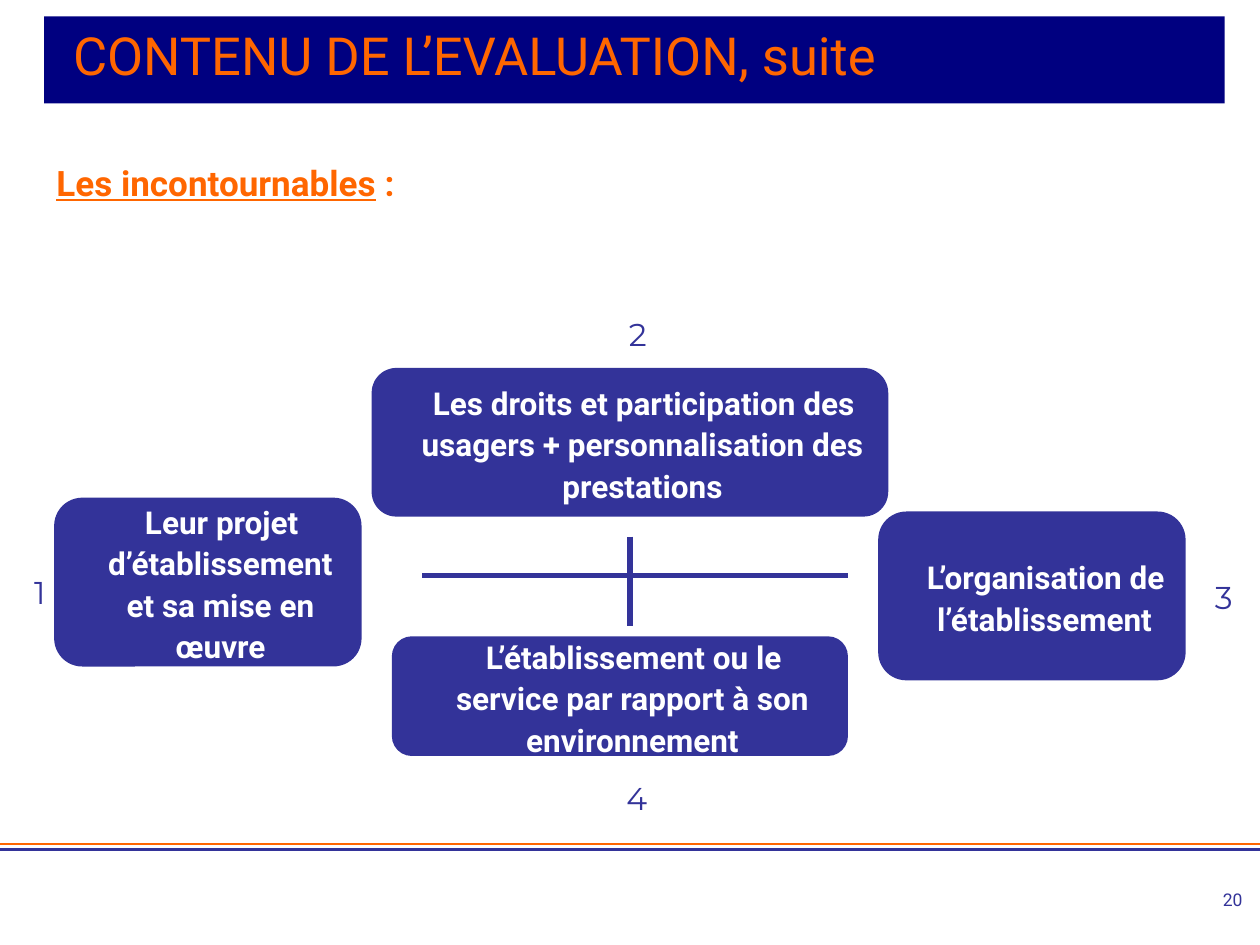
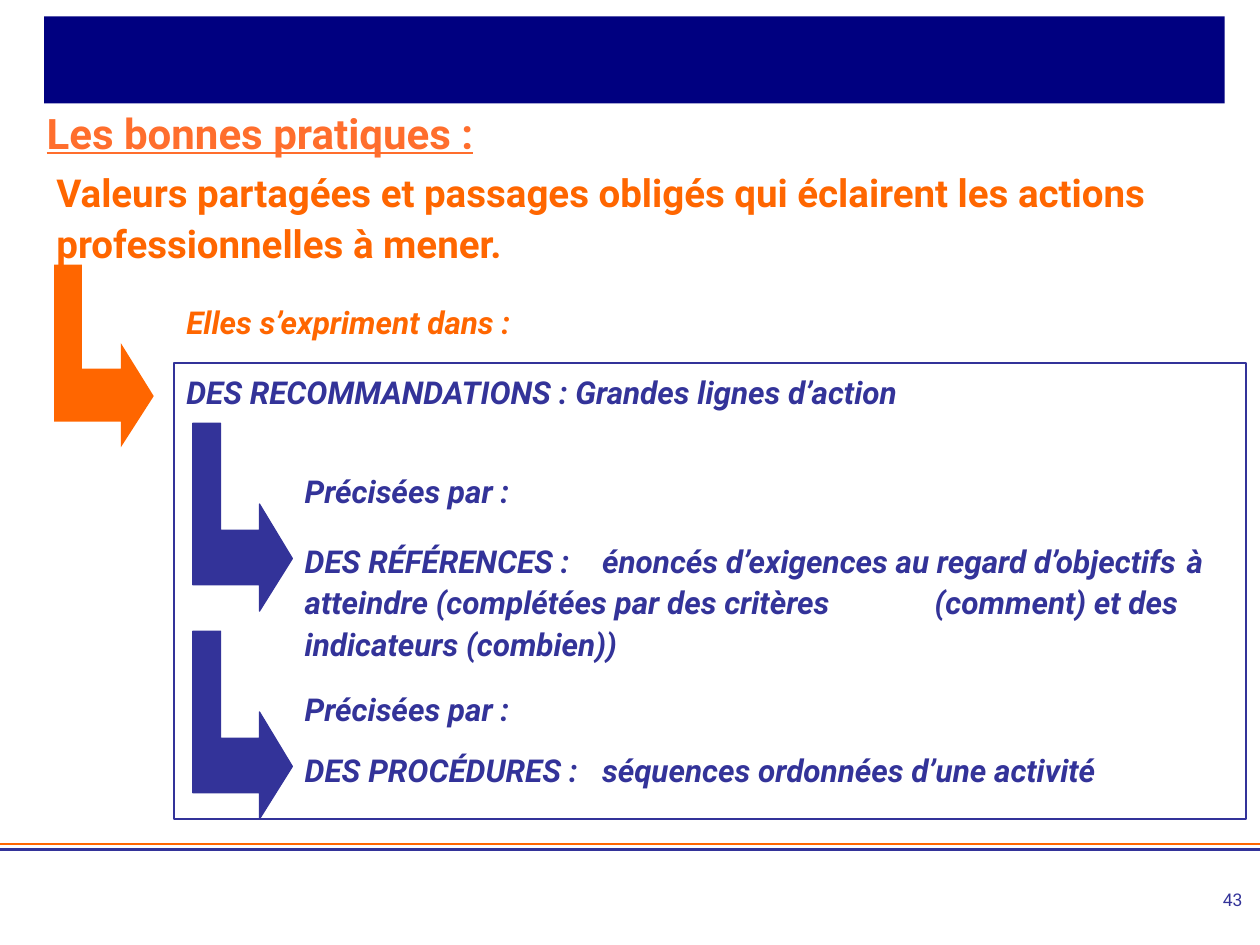
from lxml import etree
from pptx import Presentation
from pptx.dml.color import RGBColor
from pptx.enum.shapes import MSO_CONNECTOR, MSO_SHAPE
from pptx.enum.text import MSO_ANCHOR, MSO_AUTO_SIZE, PP_ALIGN
from pptx.oxml.ns import qn
from pptx.util import Inches, Pt

NAVY = RGBColor(0x00, 0x00, 0x80)
INDIGO = RGBColor(0x33, 0x33, 0x99)
ORANGE = RGBColor(0xFF, 0x66, 0x00)
CORAL = RGBColor(0xFF, 0x6E, 0x2D)
WHITE = RGBColor(0xFF, 0xFF, 0xFF)
TEXT_FONT = "Roboto"
NUMBER_FONT = "Montserrat"
TITLE_ONLY = 5


# Shared helpers
def place(shape, box):
    shape.left, shape.top, shape.width, shape.height = map(Inches, box)


def write(frame, text, size=18, color=INDIGO, font=TEXT_FONT, bold=False,
          italic=False, underline=False, tail="", align=PP_ALIGN.LEFT,
          anchor=MSO_ANCHOR.TOP, wrap=True, spacing=None, indent=None, tabs=()):
    """Write one paragraph; tail follows the text without underline."""
    frame.word_wrap = wrap
    frame.auto_size = MSO_AUTO_SIZE.NONE
    frame.vertical_anchor = anchor
    para = frame.paragraphs[0]
    properties = para._p.get_or_add_pPr()
    if indent:
        margin, first_line = indent
        properties.set("marL", str(Inches(margin)))
        properties.set("indent", str(Inches(first_line)))
    if tabs:
        stops = etree.SubElement(properties, qn("a:tabLst"))
        for stop in tabs:
            etree.SubElement(stops, qn("a:tab"), pos=str(Inches(stop)), algn="l")
    para.alignment = align
    if spacing:
        para.line_spacing = spacing
    for words, underlined in ((text, underline), (tail, False)):
        if not words:
            continue
        span = para.add_run()
        span.text = words
        span.font.name, span.font.size = font, Pt(size)
        span.font.bold, span.font.italic = bold, italic
        span.font.underline = underlined
        span.font.color.rgb = color


def add_text(page, box, text, **style):
    label = page.shapes.add_textbox(*map(Inches, box))
    write(label.text_frame, text, **style)


def add_title(page, box, text, **style):
    place(page.shapes.title, box)
    write(page.shapes.title.text_frame, text, **style)


def paint(shape, fill=None, line=None, width=1.0):
    shape.shadow.inherit = False
    if fill is None:
        shape.fill.background()
    else:
        shape.fill.solid()
        shape.fill.fore_color.rgb = fill
    if line is None:
        shape.line.fill.background()
    else:
        shape.line.color.rgb = line
        shape.line.width = Pt(width)


def add_block(page, kind, box, **colors):
    block = page.shapes.add_shape(kind, *map(Inches, box))
    paint(block, **colors)
    return block


def add_line(page, start, end, color, width):
    line = page.shapes.add_connector(
        MSO_CONNECTOR.STRAIGHT, *map(Inches, (*start, *end)))
    line.line.color.rgb = color
    line.line.width = Pt(width)
    etree.SubElement(line._element.spPr, qn("a:effectLst"))
    return line


def decorate_layout(layout, page):
    """Put the title band and the footer rules on the shared layout."""
    parts = [
        add_block(page, MSO_SHAPE.RECTANGLE, (0.35, 0.13, 9.37, 0.69), fill=NAVY),
        add_line(page, (0, 6.7), (10, 6.7), ORANGE, 1),
        add_line(page, (0, 6.74), (10, 6.74), INDIGO, 1.5),
    ]
    for part in parts:
        layout.shapes._spTree.append(part._element)


def add_page_number(page, number):
    add_text(page, (7.63, 7.01, 2.33, 0.52), number, size=10, align=PP_ALIGN.RIGHT)


# Slide: the four essentials
def add_theme(page, box, text, number, number_at):
    card = add_block(page, MSO_SHAPE.ROUNDED_RECTANGLE, box, fill=INDIGO)
    write(card.text_frame, text, color=WHITE, bold=True, align=PP_ALIGN.CENTER,
          anchor=MSO_ANCHOR.MIDDLE, spacing=1.1, indent=(0.2, 0.02))
    add_text(page, (*number_at, 0.17, 0.28), number, font=NUMBER_FONT, wrap=False)


def add_cross(page, box):
    left, top, width, height = box
    center, middle = 5, top + 0.31
    add_line(page, (center, top), (center, top + height), INDIGO, 3)
    add_line(page, (left, middle), (left + width, middle), INDIGO, 3)


def build_essentials(page):
    add_title(page, (0.48, 0.13, 6.95, 0.6), "CONTENU DE L’EVALUATION, suite",
              size=30, color=ORANGE, wrap=False)
    add_text(page, (0.35, 1.23, 3.16, 0.44), "Les incontournables", tail=" :",
             size=20, color=ORANGE, bold=True, underline=True, wrap=False)
    themes = [
        ((0.43, 3.95, 2.44, 1.34), "Leur projet d’établissement et sa mise en œuvre",
         (0.2, 4.5)),
        ((2.95, 2.92, 4.1, 1.18),
         "Les droits et participation des usagers + personnalisation des prestations",
         (4.92, 2.45)),
        ((6.97, 4.06, 2.44, 1.34), "L’organisation de l’établissement", (9.57, 4.54)),
        ((3.11, 5.05, 3.62, 0.95),
         "L’établissement ou le service par rapport à son environnement",
         (4.9, 6.13)),
    ]
    for number, (box, text, number_at) in enumerate(themes, 1):
        add_theme(page, box, text, str(number), number_at)
    add_cross(page, (3.35, 4.26, 3.38, 0.71))
    add_page_number(page, "20")


# Slide: good practices
def add_elbow_arrow(page, box, **colors):
    """Arrow that goes down, then turns right."""
    left, top, width, height = box
    outline = [(0, 0), (0.28, 0), (0.28, 0.57), (0.67, 0.57), (0.67, 0.43),
               (1, 0.72), (0.67, 1), (0.67, 0.86), (0, 0.86)]
    points = [(Inches(left + x * width), Inches(top + y * height))
              for x, y in outline]
    builder = page.shapes.build_freeform(*points[0])
    builder.add_line_segments(points[1:], close=True)
    paint(builder.convert_to_shape(), **colors)


def add_recommendations(page, box):
    left, top, width, height = box
    style = dict(bold=True, italic=True, spacing=1.1)
    inner = left + 0.94
    for arrow_top in (0.48, 2.13):
        add_elbow_arrow(page, (left + 0.15, top + arrow_top, 0.79, 1.49),
                        fill=INDIGO, line=INDIGO, width=0.75)
    add_text(page, (left, top, 8.62, 0.47),
             "DES RECOMMANDATIONS : Grandes lignes d’action", **style)
    details = [
        (0.79, 6.77, "Précisées par :"),
        (1.34, 7.68, "DES RÉFÉRENCES :\ténoncés d’exigences au regard d’objectifs "
         "\tà atteindre (complétées par des critères \t(comment) et des "
         "indicateurs (combien))"),
        (2.52, 6.77, "Précisées par :"),
        (3.0, 7.32, "DES PROCÉDURES :\tséquences ordonnées d’une activité"),
    ]
    for offset, text_width, text in details:
        add_text(page, (inner, top + offset, text_width, 0.47), text,
                 tabs=(0, 2.36, *range(3, 9)), **style)
    add_block(page, MSO_SHAPE.RECTANGLE, box, line=INDIGO, width=1.5)


def build_practices(page):
    add_title(page, (0.27, 0.76, 8.86, 0.63), "Les bonnes pratiques :", size=24,
              color=CORAL, bold=True, underline=True, spacing=1.1)
    add_elbow_arrow(page, (0.43, 2.1, 0.79, 1.45), fill=ORANGE)
    add_text(page, (0.35, 1.26, 9.06, 0.44),
             "Valeurs partagées et passages obligés qui éclairent les actions "
             "professionnelles à mener.",
             size=22, color=ORANGE, bold=True, spacing=1.1)
    add_text(page, (1.38, 2.33, 7.95, 0.47), "Elles s’expriment dans :",
             color=ORANGE, bold=True, italic=True, spacing=1.1)
    add_recommendations(page, (1.38, 2.88, 8.51, 3.62))
    add_page_number(page, "43")


def main():
    deck = Presentation()
    deck.slide_width, deck.slide_height = Inches(10), Inches(7.5)
    layout = deck.slide_layouts[TITLE_ONLY]
    essentials, practices = (deck.slides.add_slide(layout) for _ in range(2))
    decorate_layout(layout, essentials)
    build_essentials(essentials)
    build_practices(practices)
    deck.save("out.pptx")


if __name__ == "__main__":
    main()
